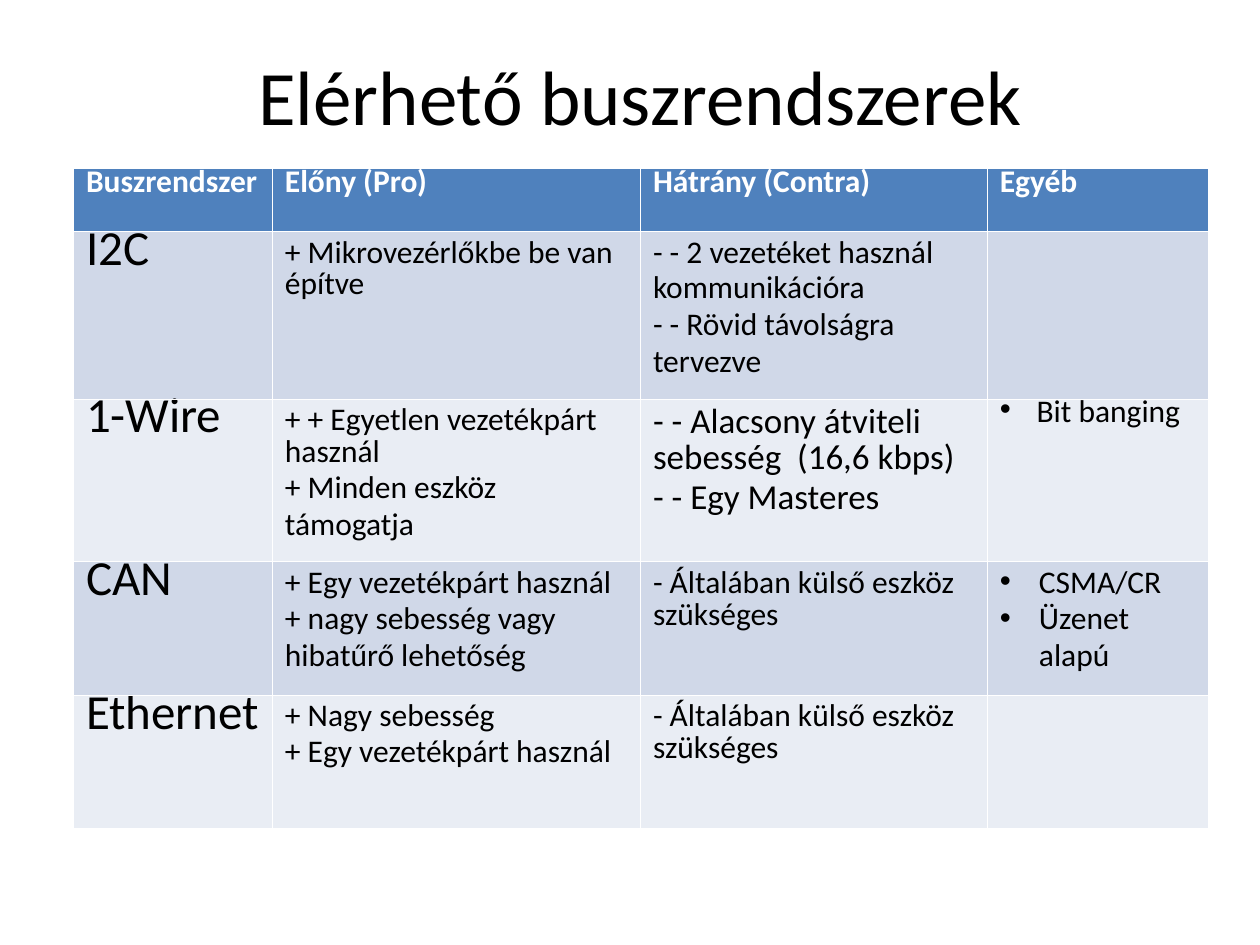
import dataclasses

import lxml.etree
import pptx
import pptx.dml.color
import pptx.enum.text
import pptx.oxml.ns
import pptx.util

Cm = pptx.util.Cm
Pt = pptx.util.Pt
qn = pptx.oxml.ns.qn


@dataclasses.dataclass(frozen=True)
class Theme:
    font: str = "Calibri"
    ink: str = "000000"
    white: str = "FFFFFF"
    head: str = "4F81BD"
    bands: tuple = ("D0D8E8", "E9EDF4")
    title: int = 44
    name: int = 28
    large: int = 20
    body: int = 18
    thin: float = 0.06
    thick: float = 0.17
    tight: float = 0.58
    first: float = 0.83
    rest: float = 0.96


THEME = Theme()

COLS = (4.01, 7.42, 6.99, 4.45)
ROWS = (1.27, 3.38, 3.28, 2.69, 2.69)
HEADS = ("Buszrendszer", "Előny (Pro)", "Hátrány (Contra)", "Egyéb")
BUSES = (
    ("I2C",
     ["+ Mikrovezérlőkbe be van építve"],
     ["- - 2 vezetéket használ", "kommunikációra", "- - Rövid távolságra tervezve"],
     []),
    ("1-Wire",
     ["+ + Egyetlen vezetékpárt használ", "+ Minden eszköz támogatja"],
     ["- - Alacsony átviteli sebesség  (16,6 kbps)", "- - Egy Masteres"],
     [" Bit banging"]),
    ("CAN",
     ["+ Egy vezetékpárt használ", "+ nagy sebesség vagy hibatűrő lehetőség"],
     ["- Általában külső eszköz szükséges"],
     ["CSMA/CR", "Üzenet alapú"]),
    ("Ethernet",
     ["+ Nagy sebesség", "+ Egy vezetékpárt használ"],
     ["- Általában külső eszköz szükséges"],
     []),
)


def rgb(code):
    return pptx.dml.color.RGBColor.from_string(code)


def style(para, size, color, bold=False):
    for run in para.runs:
        font = run.font
        font.name = THEME.font
        font.size = Pt(size)
        font.bold = bold
        font.color.rgb = rgb(color)


def bullet(para, indent):
    props = para._p.get_or_add_pPr()
    props.set("marL", str(Cm(indent)))
    props.set("indent", str(-Cm(indent)))
    tint = lxml.etree.SubElement(props, qn("a:buClr"))
    lxml.etree.SubElement(tint, qn("a:srgbClr"), val=THEME.ink)
    lxml.etree.SubElement(props, qn("a:buFont"), typeface="Arial")
    lxml.etree.SubElement(props, qn("a:buChar"), char="•")


def border(cell, row):
    """Draw white cell edges, heavier between the header and the body."""
    props = cell._tc.get_or_add_tcPr()
    heavy = {0: "lnB", 1: "lnT"}.get(row)
    for side in ("lnL", "lnR", "lnT", "lnB"):
        width = THEME.thick if side == heavy else THEME.thin
        line = lxml.etree.SubElement(props, qn("a:" + side), w=str(Pt(width)))
        fill = lxml.etree.SubElement(line, qn("a:solidFill"))
        lxml.etree.SubElement(fill, qn("a:srgbClr"), val=THEME.white)


def write(cell, lines, size, color, first, bold=False, indent=0):
    """Fill a cell; the first line has its own spacing."""
    cell.text_frame.text = "\n".join(lines)
    for i, para in enumerate(cell.text_frame.paragraphs):
        para.line_spacing = THEME.rest if i else first
        style(para, size, color, bold)
        if indent:
            bullet(para, indent)


def title(slide, left, top, width, height):
    box = slide.shapes.add_textbox(Cm(left), Cm(top), Cm(width), Cm(height))
    frame = box.text_frame
    frame.word_wrap = True
    frame.vertical_anchor = pptx.enum.text.MSO_ANCHOR.MIDDLE
    frame.text = "Elérhető buszrendszerek"
    para = frame.paragraphs[0]
    para.alignment = pptx.enum.text.PP_ALIGN.CENTER
    style(para, THEME.title, THEME.ink)


def table(slide, left, top):
    grid = slide.shapes.add_table(
        len(ROWS), len(COLS), Cm(left), Cm(top), Cm(sum(COLS)), Cm(sum(ROWS))
    ).table
    for col, width in zip(grid.columns, COLS):
        col.width = Cm(width)
    for row, height in zip(grid.rows, ROWS):
        row.height = Cm(height)

    for r in range(len(ROWS)):
        for c in range(len(COLS)):
            cell = grid.cell(r, c)
            border(cell, r)
            cell.fill.solid()
            shade = THEME.bands[(r - 1) % 2] if r else THEME.head
            cell.fill.fore_color.rgb = rgb(shade)

    for c, text in enumerate(HEADS):
        write(grid.cell(0, c), [text], THEME.body, THEME.white, THEME.tight, bold=True)
    for r, (name, pros, cons, notes) in enumerate(BUSES, 1):
        wire = name == "1-Wire"
        write(grid.cell(r, 0), [name], THEME.name, THEME.ink, THEME.tight)
        write(grid.cell(r, 1), pros, THEME.body, THEME.ink, THEME.first)
        write(grid.cell(r, 2), cons, THEME.large if wire else THEME.body,
              THEME.ink, THEME.first)
        if notes:
            write(grid.cell(r, 3), notes, THEME.body, THEME.ink,
                  THEME.tight if wire else THEME.first, indent=0.6 if wire else 0.79)


def main():
    deck = pptx.Presentation()
    deck.slide_width = Cm(25.4)
    deck.slide_height = Cm(19.05)
    slide = deck.slides.add_slide(deck.slide_layouts[6])
    title(slide, 1.48, 0.64, 22.86, 2.54)
    table(slide, 1.48, 3.39)
    deck.save("out.pptx")


if __name__ == "__main__":
    main()
